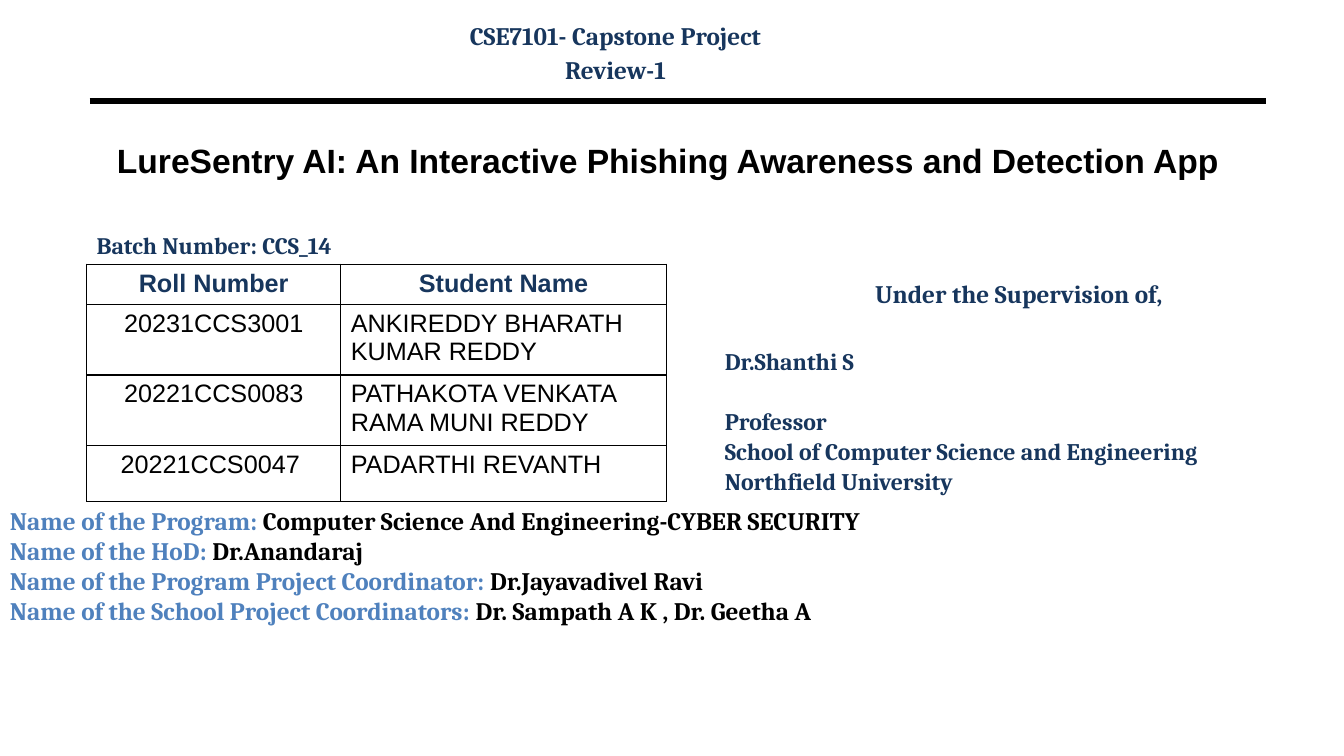
from lxml import etree
from pptx import Presentation
from pptx.enum import shapes, text
from pptx.oxml import ns
from pptx.dml.color import RGBColor
from pptx import util as u

COLORS = {"navy": "17365D", "blue": "4F81BD", "black": "000000", "white": "FFFFFF"}
SERIF, SANS = "Cambria", "Arial"
CENTER, LEFT = text.PP_ALIGN.CENTER, text.PP_ALIGN.LEFT

STUDENTS = [
    ("Roll Number", "Student Name"),
    ("20231CCS3001", "ANKIREDDY BHARATH KUMAR REDDY"),
    ("20221CCS0083", "PATHAKOTA VENKATA RAMA MUNI REDDY"),
    ("20221CCS0047 ", "PADARTHI REVANTH"),
]
COLUMN_WIDTHS = (2.52, 3.23)
ROW_HEIGHTS = (0.38, 0.66, 0.66, 0.55)

# Wording, size, alignment, line spacing, points before
SUPERVISION = [
    ("Under the Supervision of,", 18, CENTER, 0.9, 0),
    ("Dr.Shanthi S", 17, LEFT, 1, 26.4),
    ("Professor", 17, LEFT, 0.9, 24.7),
    ("School of Computer Science and Engineering", 17, LEFT, 0.9, 3.4),
    ("Northfield University", 17, LEFT, 0.9, 3.4),
]
STAFF = [
    ("Name of the Program: ", "Computer Science And Engineering-CYBER SECURITY"),
    ("Name of the HoD: ", "Dr.Anandaraj"),
    ("Name of the Program Project Coordinator: ", "Dr.Jayavadivel Ravi"),
    ("Name of the School Project Coordinators: ", "Dr. Sampath A K , Dr. Geetha A"),
]


def inches(box):
    return [u.Inches(length) for length in box]


def add_span(para, words, size, color="navy", font=SERIF, bold=True):
    span = para.add_run()
    span.text = words
    span.font.size = u.Pt(size)
    span.font.name = font
    span.font.bold = bold
    span.font.color.rgb = RGBColor.from_string(COLORS[color])


def add_frame(page, box):
    frame = page.shapes.add_textbox(*inches(box)).text_frame
    frame.word_wrap = True
    return frame


def add_para(frame, index, align=LEFT, before=0, spacing=1):
    para = frame.add_paragraph() if index else frame.paragraphs[0]
    para.alignment = align
    para.space_before = u.Pt(before)
    para.line_spacing = spacing
    return para


def add_header(page, box):
    frame = add_frame(page, box)
    for index, words in enumerate(("CSE7101- Capstone Project", "Review-1")):
        add_span(add_para(frame, index, CENTER, 3.1 * index), words, 18)


def add_rule(page, box):
    left, top, width, height = inches(box)
    rule = page.shapes.add_connector(
        shapes.MSO_CONNECTOR.STRAIGHT, left, top, left + width, top + height)
    rule.line.width = u.Pt(4.5)
    rule.line.color.rgb = RGBColor.from_string(COLORS["black"])
    etree.SubElement(rule._element.spPr, ns.qn("a:effectLst"))


def set_title(page, box):
    title = page.shapes.title
    title.left, title.top, title.width, title.height = inches(box)
    frame = title.text_frame
    frame.auto_size = text.MSO_AUTO_SIZE.NONE
    frame.vertical_anchor = text.MSO_ANCHOR.MIDDLE
    add_span(add_para(frame, 0),
             "LureSentry AI: An Interactive Phishing Awareness and Detection App",
             24, "black", SANS)


def add_batch(page, box):
    add_span(add_para(add_frame(page, box), 0), "Batch Number: CCS_14", 16.9)


def add_borders(cell):
    properties = cell._tc.get_or_add_tcPr()
    for position, side in enumerate(("lnL", "lnR", "lnT", "lnB")):
        line = etree.Element(ns.qn("a:" + side), w=str(u.Pt(0.96)))
        fill = etree.SubElement(line, ns.qn("a:solidFill"))
        etree.SubElement(fill, ns.qn("a:srgbClr"), val=COLORS["black"])
        properties.insert(position, line)


def add_students(page, box):
    table = page.shapes.add_table(
        len(STUDENTS), len(COLUMN_WIDTHS), *inches(box)).table
    table.first_row = table.horz_banding = False
    for column, width in zip(table.columns, COLUMN_WIDTHS):
        column.width = u.Inches(width)
    for row, height in zip(table.rows, ROW_HEIGHTS):
        row.height = u.Inches(height)
    for r, student in enumerate(STUDENTS):
        for c, words in enumerate(student):
            cell = table.cell(r, c)
            cell.fill.solid()
            cell.fill.fore_color.rgb = RGBColor.from_string(COLORS["white"])
            add_borders(cell)
            heading = r == 0
            para = add_para(cell.text_frame, 0, CENTER if heading or c == 0 else LEFT)
            add_span(para, words, 18, "navy" if heading else "black", SANS, heading)


def add_supervision(page, box):
    frame = add_frame(page, box)
    for index, (words, size, align, spacing, before) in enumerate(SUPERVISION):
        add_span(add_para(frame, index, align, before, spacing), words, size)


def add_staff(page, box):
    frame = add_frame(page, box)
    for index, (label, name) in enumerate(STAFF):
        para = add_para(frame, index)
        add_span(para, label, 18, "blue")
        add_span(para, name, 18, "black")


def main():
    deck = Presentation()
    deck.slide_width, deck.slide_height = inches((13.33, 7.5))
    page = deck.slides.add_slide(deck.slide_layouts.get_by_name("Title Only"))
    add_header(page, (3.1, 0.15, 6.01, 0.8))
    add_rule(page, (0.89, 1, 11.67, 0))
    set_title(page, (1.06, 1.34, 11.28, 0.5))
    add_batch(page, (0.86, 2.24, 4.8, 0.39))
    add_students(page, (0.86, 2.62, sum(COLUMN_WIDTHS), sum(ROW_HEIGHTS)))
    add_supervision(page, (7.09, 2.75, 6.03, 2.21))
    add_staff(page, (0, 4.96, 13.33, 1.71))
    deck.save("out.pptx")


if __name__ == "__main__":
    main()
